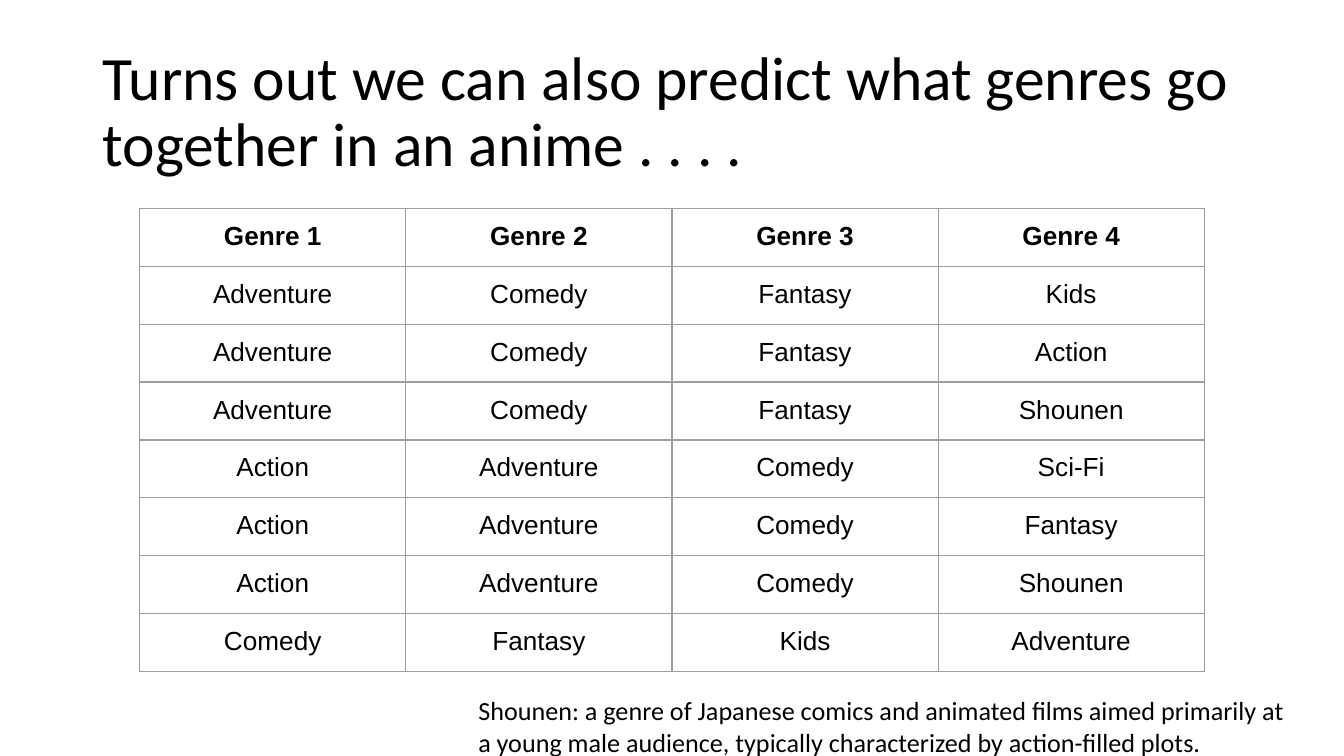
"""Build a slide with a table of anime genres that go together."""
from dataclasses import dataclass

from lxml import etree
from pptx import Presentation
from pptx import util as u
from pptx.dml.color import RGBColor
from pptx.enum import text
from pptx.oxml.ns import qn

BLACK, GRID = "000000", "9E9E9E"
CELL_INSET = 0.25
COL_W, ROW_H = 5.03, 1.06

GENRES = [
    ("Genre 1", "Genre 2", "Genre 3", "Genre 4"),
    ("Adventure", "Comedy", "Fantasy", "Kids"),
    ("Adventure", "Comedy", "Fantasy", "Action"),
    ("Adventure", "Comedy", "Fantasy", "Shounen"),
    ("Action", "Adventure", "Comedy", "Sci-Fi"),
    ("Action", "Adventure", "Comedy", "Fantasy"),
    ("Action", "Adventure", "Comedy", "Shounen"),
    ("Comedy", "Fantasy", "Kids", "Adventure"),
]


@dataclass
class TextBlock:
    words: str
    left: float
    top: float
    width: float
    height: float
    size: float
    inset_x: float
    inset_y: float
    anchor: text.MSO_ANCHOR
    spacing: float


BLOCKS = [
    TextBlock("Turns out we can also predict what genres go together in an anime . . . .",
              1.75, 0.76, 21.9, 2.77, 33, 0.19, 0.1, text.MSO_ANCHOR.MIDDLE, 0.9),
    TextBlock("Shounen: a genre of Japanese comics and animated films aimed primarily at "
              "a young male audience, typically characterized by action-filled plots.",
              8.79, 12.88, 16.05, 1.7, 14, 0.25, 0.25, text.MSO_ANCHOR.TOP, 1.0),
]


def color(value: str) -> RGBColor:
    return RGBColor.from_string(value)


def set_attrs(target, values: dict) -> None:
    for name, value in values.items():
        setattr(target, name, value)


def margins(x: float, y: float) -> dict:
    return {"margin_left": u.Cm(x), "margin_right": u.Cm(x),
            "margin_top": u.Cm(y), "margin_bottom": u.Cm(y)}


def add_run(p, words: str, font: str, size: float, bold: bool = False) -> None:
    r = p.add_run()
    r.text = words
    set_attrs(r.font, {"name": font, "size": u.Pt(size), "bold": bold})
    r.font.color.rgb = color(BLACK)


def add_block(s, block: TextBlock) -> None:
    sp = s.shapes.add_textbox(u.Cm(block.left), u.Cm(block.top),
                              u.Cm(block.width), u.Cm(block.height))
    tf = sp.text_frame
    set_attrs(tf, {"word_wrap": True, "vertical_anchor": block.anchor,
                   **margins(block.inset_x, block.inset_y)})
    p = tf.paragraphs[0]
    p.line_spacing = block.spacing
    add_run(p, block.words, "Calibri", block.size)


def add_borders(cell) -> None:
    tc_pr = cell._tc.get_or_add_tcPr()
    for i, side in enumerate(("a:lnL", "a:lnR", "a:lnT", "a:lnB")):
        ln = etree.Element(qn(side), w=str(u.Pt(0.75)))
        fill = etree.SubElement(ln, qn("a:solidFill"))
        etree.SubElement(fill, qn("a:srgbClr"), val=GRID)
        tc_pr.insert(i, ln)


def add_genre_table(s, rows: list[tuple[str, ...]], left: float, top: float) -> None:
    n_rows, n_cols = len(rows), len(rows[0])
    table = s.shapes.add_table(n_rows, n_cols, u.Cm(left), u.Cm(top),
                               u.Cm(COL_W * n_cols), u.Cm(ROW_H * n_rows)).table
    set_attrs(table, {"first_row": False, "horz_banding": False})
    for col in table.columns:
        col.width = u.Cm(COL_W)
    for i, genres in enumerate(rows):
        table.rows[i].height = u.Cm(ROW_H)
        for j, genre in enumerate(genres):
            cell = table.cell(i, j)
            set_attrs(cell, margins(CELL_INSET, CELL_INSET))
            cell.fill.background()
            add_borders(cell)
            p = cell.text_frame.paragraphs[0]
            p.alignment = text.PP_ALIGN.CENTER
            add_run(p, genre, "Arial", 14, bold=i == 0)


def main() -> None:
    prs = Presentation()
    set_attrs(prs, {"slide_width": u.Cm(25.4), "slide_height": u.Cm(14.29)})
    s = prs.slides.add_slide(prs.slide_layouts[6])
    title, note = BLOCKS
    add_block(s, title)
    add_genre_table(s, GENRES, 2.64, 3.94)
    add_block(s, note)
    prs.save("out.pptx")


if __name__ == "__main__":
    main()
